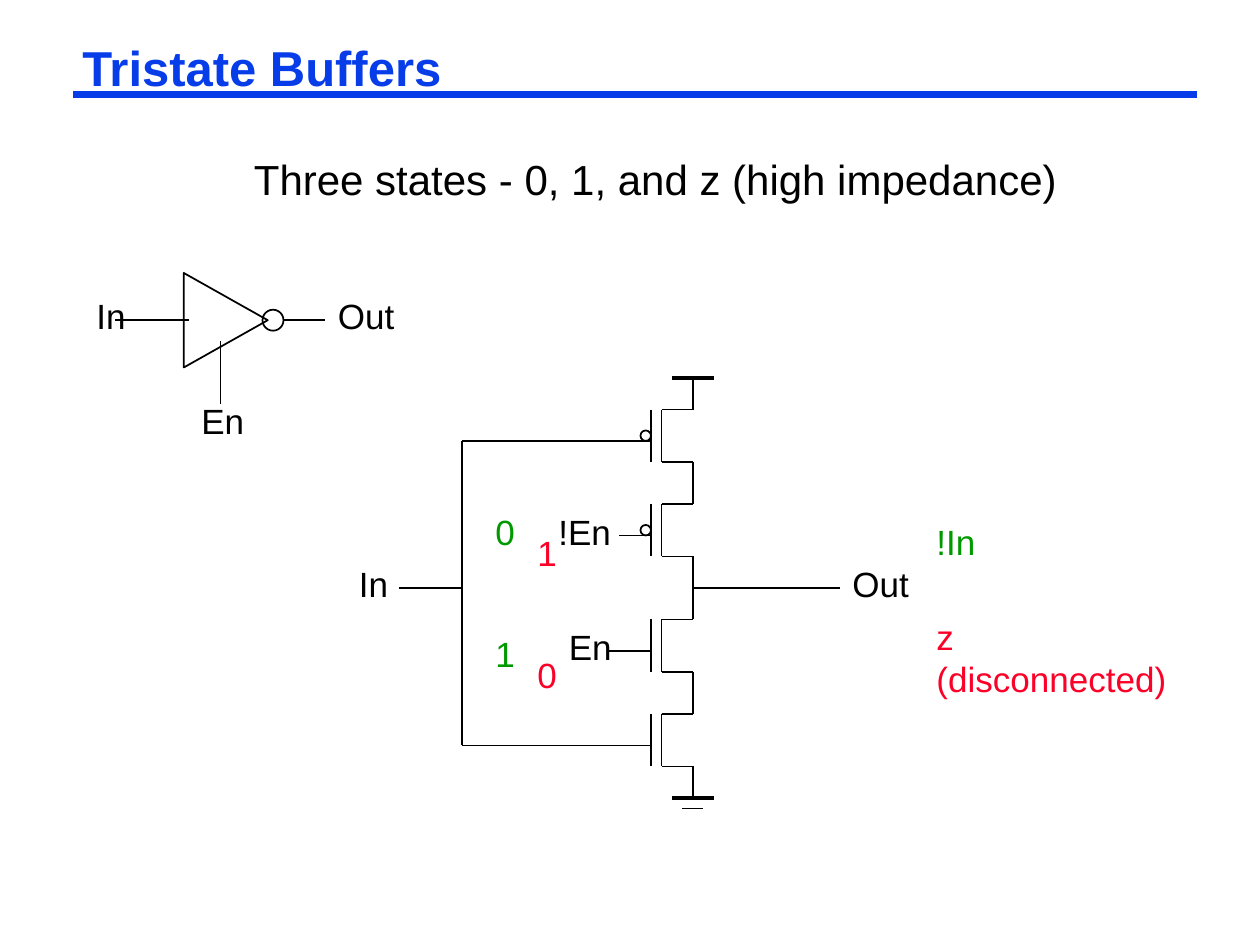
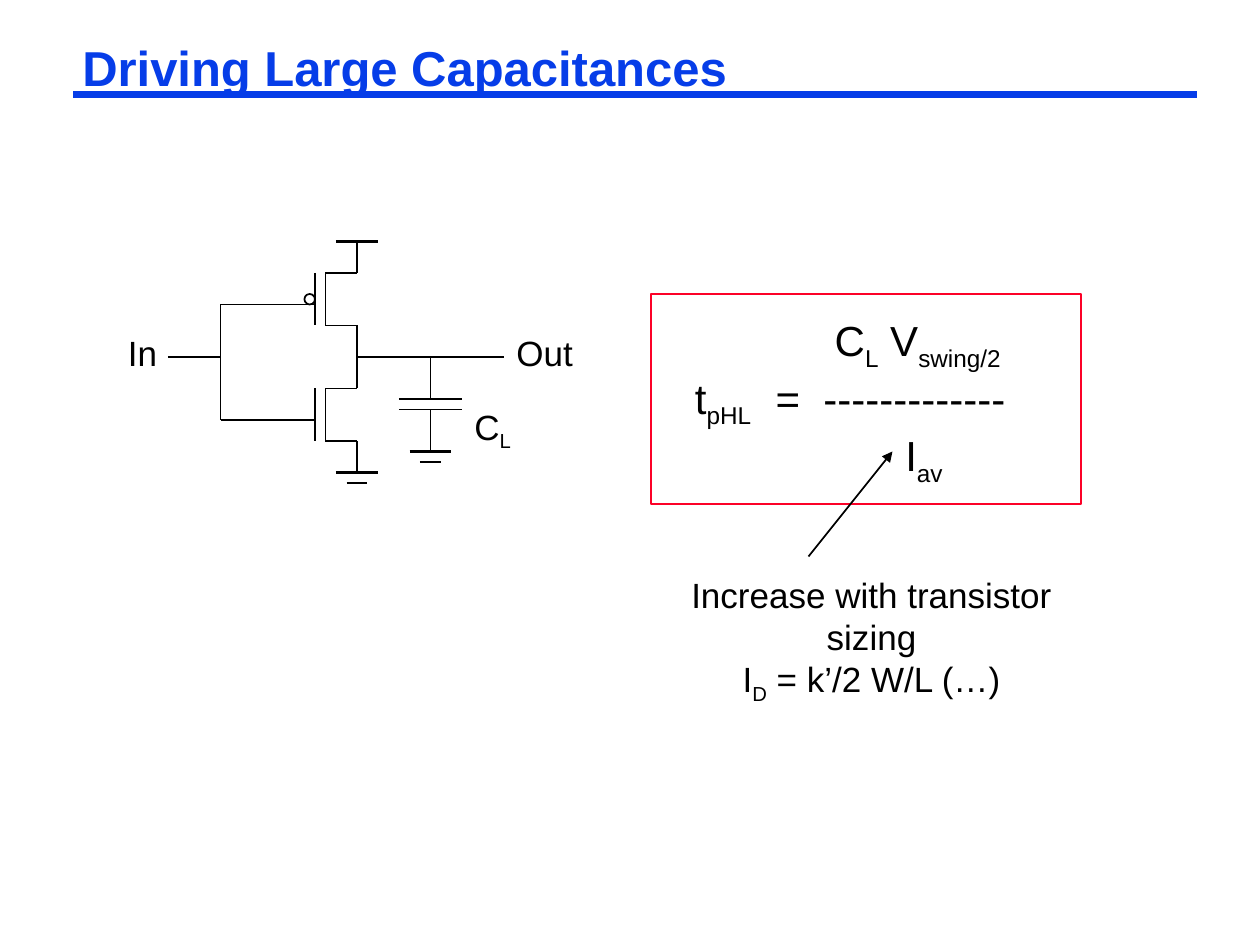
"""Build two slides on tristate buffers and on driving large capacitances."""
from lxml.etree import SubElement as Sub
from pptx import Presentation
from pptx.dml.color import RGBColor
from pptx.enum.shapes import MSO_CONNECTOR as Link, MSO_SHAPE as Kind
from pptx.enum.text import PP_ALIGN as Align
from pptx.oxml.ns import qn
from pptx.util import Inches, Pt

BLUE = RGBColor(0x06, 0x3D, 0xE8)
BLACK = RGBColor(0x00, 0x00, 0x00)
GREEN = RGBColor(0x00, 0x99, 0x00)
RED = RGBColor(0xFC, 0x01, 0x28)
FONT = "Arial"
WIDE, HIGH = Inches(10), Inches(7.5)
UNIT = WIDE // 120


def draw(slide, ends, color=BLACK, width=1):
    """Draw a straight line between two grid points."""
    line = slide.shapes.add_connector(Link.STRAIGHT, *[int(end * UNIT) for end in ends])
    line.line.color.rgb = color
    line.line.width = Pt(width)
    Sub(line._element.spPr, qn("a:effectLst"))
    return line


def write(slide, text, area, size=20, color=BLACK):
    """Place text on the grid; every second part between bars is a subscript."""
    frame = slide.shapes.add_textbox(*[int(side * UNIT) for side in area]).text_frame
    frame.word_wrap = True
    rows = text.split("\n")
    frame.text = "\n" * (len(rows) - 1)
    for para, row in zip(frame.paragraphs, rows):
        for spot, part in enumerate(row.split("|")):
            run = para.add_run()
            run.text = part
            run.font.name, run.font.size = FONT, Pt(size)
            run.font.color.rgb = color
            if spot % 2:
                run._r.get_or_add_rPr().set("baseline", "-25000")
    return frame


deck = Presentation()
deck.slide_width, deck.slide_height = WIDE, HIGH

pages = [
    {
        "title": "Tristate Buffers",
        "gates": [("P", 66, 39), ("P", 66, 48), ("N", 66, 59), ("N", 66, 68)],
        "power": (66, 36),
        "grounds": [(66, 76)],
        "wires": [
            (66, 56, 80, 56), (44, 42, 59, 42), (44, 71, 59, 71),
            (44, 42, 44, 71), (38, 56, 44, 56),
            (11, 30.5, 18, 30.5), (27, 30.5, 31, 30.5), (21, 32.5, 21, 38.5),
        ],
        "labels": [
            ("In", 33, 53, 6, BLACK), ("Out", 80, 53, 8, BLACK),
            ("!En", 52, 48, 8, BLACK), ("En", 53, 59, 7, BLACK),
            ("In", 8, 27.5, 6, BLACK), ("Out", 31, 27.5, 8, BLACK),
            ("En", 18, 37.5, 7, BLACK),
            ("!In", 88, 49, 7, GREEN), ("z (disconnected)", 88, 58, 26, RED),
        ],
        "shapes": [
            (Kind.ISOSCELES_TRIANGLE, 17, 26.5, 9, 8, 90, BLACK),
            (Kind.OVAL, 25, 29.5, 2, 2, 0, BLACK),
        ],
    },
    {
        "title": "Driving Large Capacitances",
        "gates": [("P", 34, 26), ("N", 34, 37)],
        "power": (34, 23),
        "grounds": [(34, 45), (41, 43)],
        "wires": [
            (34, 34, 48, 34), (21, 29, 28, 29), (21, 40, 27, 40),
            (21, 29, 21, 40), (16, 34, 21, 34),
            (41, 34, 41, 38), (38, 38, 44, 38), (38, 39, 44, 39), (41, 39, 41, 43),
        ],
        "labels": [
            ("In", 11, 31, 6, BLACK), ("Out", 48, 31, 8, BLACK),
            ("C|L", 44, 38, 6, BLACK),
        ],
        "shapes": [(Kind.RECTANGLE, 62, 28, 41, 20, 0, RED)],
    },
]

slides = []
for page in pages:
    slide = deck.slides.add_slide(deck.slide_layouts[6])
    slides.append(slide)
    draw(slide, (7, 9, 114, 9), BLUE, 4.5)
    title = write(slide, page["title"], (7, 4, 107, 5.5), 28, BLUE)
    title.margin_left = title.margin_right = Inches(0.07)
    title.margin_top = title.margin_bottom = Inches(0.03)
    title.paragraphs[0].line_spacing = 0.87
    title.paragraphs[0].runs[0].font.bold = True

    wires, shapes = list(page["wires"]), list(page["shapes"])
    for kind, x, y in page["gates"]:
        lead = 7 if kind == "P" else 8
        wires += [
            (x - 4, y, x - 4, y + 5), (x - 3, y, x - 3, y + 5),
            (x - 3, y, x, y), (x - 3, y + 5, x, y + 5),
            (x, y - 3, x, y), (x, y + 5, x, y + 8),
            (x - lead, y + 3, x - 4, y + 3),
        ]
        if kind == "P":
            shapes.append((Kind.OVAL, x - 5, y + 2, 1, 1, 0, BLACK))
    for x, y in page["grounds"]:
        wires.append((x - 1, y + 1, x + 1, y + 1))
    for wire in wires:
        draw(slide, wire)
    for x, y in [page["power"], *page["grounds"]]:
        draw(slide, (x - 2, y, x + 2, y), width=2.25)

    for kind, x, y, wide, high, turn, color in shapes:
        area = [int(side * UNIT) for side in (x, y, wide, high)]
        shape = slide.shapes.add_shape(kind, *area)
        shape.shadow.inherit = False
        shape.fill.background()
        shape.line.color.rgb = color
        shape.line.width = Pt(1)
        shape.rotation = turn
    for text, x, y, wide, color in page["labels"]:
        write(slide, text, (x, y, wide, 5), color=color)

states, drive = slides
write(states, "Three states - 0, 1, and z (high impedance)", (23, 14, 80, 6), 24)
for text, x, y, color in [("0\n1", 46, 48, GREEN), ("1\n0", 50, 50, RED)]:
    column = write(states, text, (x, y, 5, 17), color=color)
    column.paragraphs[1].space_before = Pt(46)

delay = write(drive, "C|L| V|swing/2\nt|pHL|\t=\t-------------\nI|av", (65, 29.4, 34, 15.6), 24)
top, middle, low = [para._p.get_or_add_pPr() for para in delay.paragraphs]
top.set("marL", str(Inches(1.11)))
low.set("marL", str(Inches(1.67)))
tabs = Sub(middle, qn("a:tabLst"))
for stop in (0.64, 1.02):
    Sub(tabs, qn("a:tab"), pos=str(Inches(stop)), algn="l")

advice = write(
    drive, "Increase with transistor sizing\nI|D| = k’/2 W/L (…)", (60.5, 54, 45, 14)
)
for para in advice.paragraphs:
    para.alignment = Align.CENTER
arrow = draw(drive, (77, 53, 85, 43))
Sub(arrow.line._get_or_add_ln(), qn("a:tailEnd"), type="triangle")

deck.save("out.pptx")
